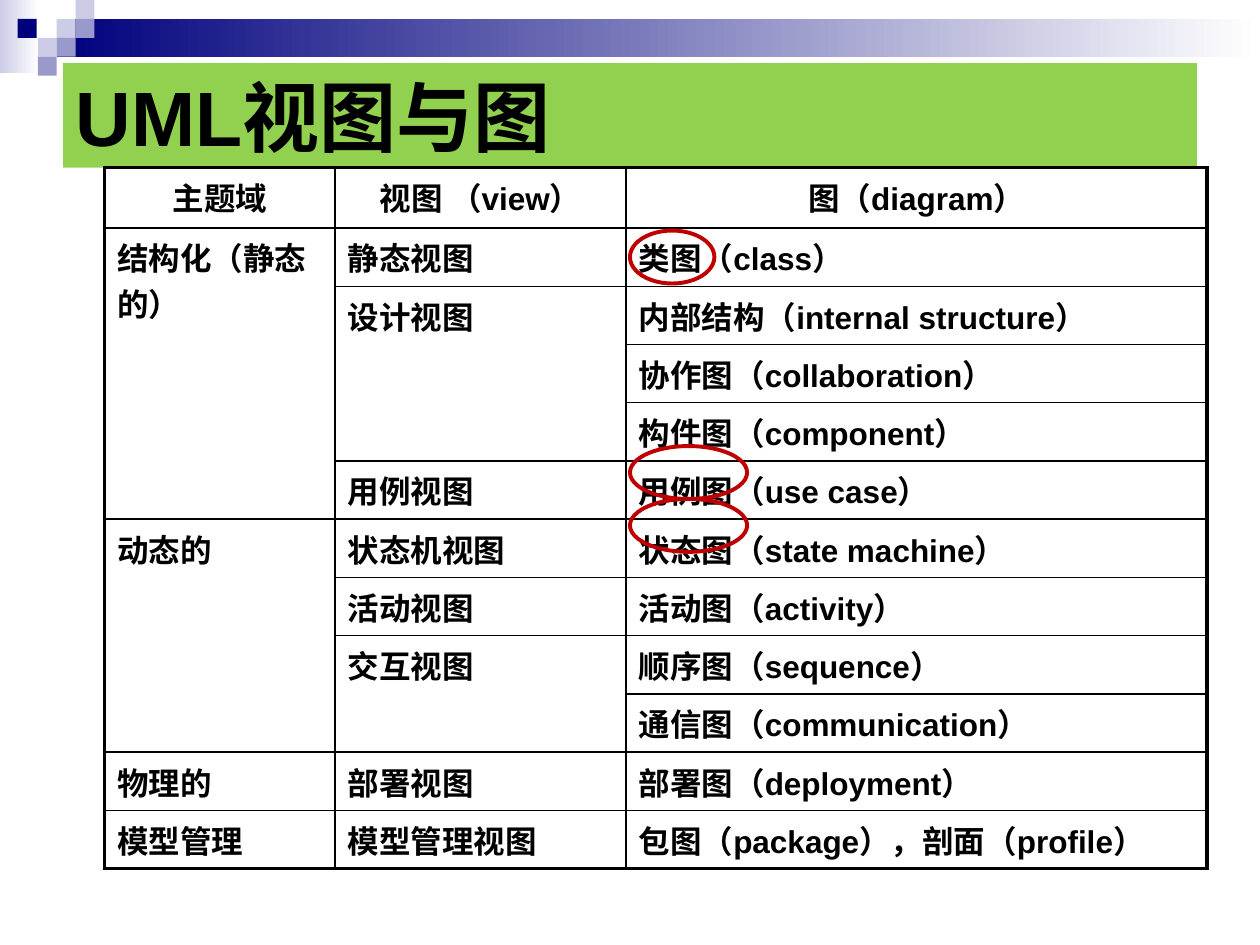
from lxml import etree
from pptx import Presentation
from pptx.dml.color import RGBColor
from pptx.enum import shapes, text
from pptx.oxml.ns import qn
from pptx.util import Inches, Pt

FONT = "Arial"
HEX = {"navy": "00007D", "mid": "9999CC", "pale": "CCCCE6", "white": "FFFFFF",
       "green": "92D050", "black": "000000", "red": "C00000"}
TITLE = "UML视图与图"

# None continues the cell above
ROWS = [
    ("主题域", "视图 （view）", "图（diagram）"),
    ("结构化（静态的）", "静态视图", "类图（class）"),
    (None, "设计视图", "内部结构（internal structure）"),
    (None, None, "协作图（collaboration）"),
    (None, None, "构件图（component）"),
    (None, "用例视图", "用例图（use case）"),
    ("动态的", "状态机视图", "状态图（state machine）"),
    (None, "活动视图", "活动图（activity）"),
    (None, "交互视图", "顺序图（sequence）"),
    (None, None, "通信图（communication）"),
    ("物理的", "部署视图", "部署图（deployment）"),
    ("模型管理", "模型管理视图", "包图（package），剖面（profile）"),
]
WIDTHS = [1.83, 2.31, 4.61]
HEIGHTS = [0.48, 0.45, 0.42, 0.43, 0.42, 0.42, 0.4, 0.42, 0.43, 0.43, 0.42, 0.43]
BANDS = [((0, 0, 0.31, 0.58), "pale"), ((0.45, 0.15, 9.55, 0.3), "navy")]
SIDE = 0.15
SQUARES = [(0.45, 0.15, "pale"), (0.6, 0, "pale"), (0.6, 0.15, "mid"),
           (0.3, 0.3, "pale"), (0.14, 0.15, "navy"), (0.45, 0.3, "mid"),
           (0.3, 0.45, "mid")]
RINGS = [(1.83, 0.67), (3.54, 0.93), (3.96, 0.93)]  # top, width


def color(name):
    return RGBColor.from_string(HEX[name])


def style(para, size, align):
    para.alignment = align
    for run in para.runs:
        run.font.name, run.font.size, run.font.bold = FONT, Pt(size), True
        run.font.color.rgb = color("black")


def add_shape(slide, kind, box):
    shape = slide.shapes.add_shape(kind, *map(Inches, box))
    shape.shadow.inherit = False
    return shape


def add_decor(slide):
    rect = shapes.MSO_SHAPE.RECTANGLE
    for box, name in BANDS:
        band = add_shape(slide, rect, box)
        band.line.fill.background()
        band.fill.gradient()
        band.fill.gradient_angle = 0
        for stop, pos, tint in zip(band.fill.gradient_stops, (0, 1), (name, "white")):
            stop.position, stop.color.rgb = pos, color(tint)
    for left, top, name in SQUARES:
        square = add_shape(slide, rect, (left, top, SIDE, SIDE))
        square.line.fill.background()
        square.fill.solid()
        square.fill.fore_color.rgb = color(name)


def add_title(slide):
    title = slide.shapes.title
    title.left, title.top, title.width, title.height = map(Inches, (0.5, 0.5, 9, 0.83))
    title.fill.solid()
    title.fill.fore_color.rgb = color("green")
    frame = title.text_frame
    frame.text = TITLE
    frame.vertical_anchor = text.MSO_ANCHOR.MIDDLE
    style(frame.paragraphs[0], 44, text.PP_ALIGN.LEFT)


def set_borders(cell, row, col):
    """Heavy line on the outer edge of the table, thin lines inside."""
    outer = {"L": col == 0, "R": col == len(WIDTHS) - 1,
             "T": row == 0, "B": row == len(ROWS) - 1}
    props = cell._tc.get_or_add_tcPr()
    for edge, heavy in outer.items():
        line = etree.SubElement(props, qn("a:ln" + edge), w=str(Pt(2.25 if heavy else 1)))
        fill = etree.SubElement(line, qn("a:solidFill"))
        etree.SubElement(fill, qn("a:srgbClr"), val=HEX["black"])


def add_grid(slide):
    box = (0.83, 1.33, sum(WIDTHS), sum(HEIGHTS))
    table = slide.shapes.add_table(len(ROWS), len(WIDTHS), *map(Inches, box)).table
    table.first_row = table.horz_banding = False
    for col, width in zip(table.columns, WIDTHS):
        col.width = Inches(width)
    for r, words in enumerate(ROWS):
        table.rows[r].height = Inches(HEIGHTS[r])
        for c, word in enumerate(words):
            cell = table.cell(r, c)
            set_borders(cell, r, c)
            cell.fill.background()
            if word is None:
                continue
            cell.text_frame.text = word
            align = text.PP_ALIGN.LEFT if r else text.PP_ALIGN.CENTER
            style(cell.text_frame.paragraphs[0], 18, align)
            end = r
            while end + 1 < len(ROWS) and ROWS[end + 1][c] is None:
                end += 1
            if end > r:
                cell.merge(table.cell(end, c))


def add_rings(slide):
    for top, width in RINGS:
        ring = add_shape(slide, shapes.MSO_SHAPE.OVAL, (5, top, width, 0.42))
        ring.fill.background()
        ring.line.color.rgb = color("red")
        ring.line.width = Pt(2.25)


def main():
    deck = Presentation()
    deck.slide_width, deck.slide_height = Inches(10), Inches(7.5)
    slide = deck.slides.add_slide(deck.slide_layouts[5])
    add_decor(slide)
    add_title(slide)
    add_grid(slide)
    add_rings(slide)
    deck.save("out.pptx")


if __name__ == "__main__":
    main()
